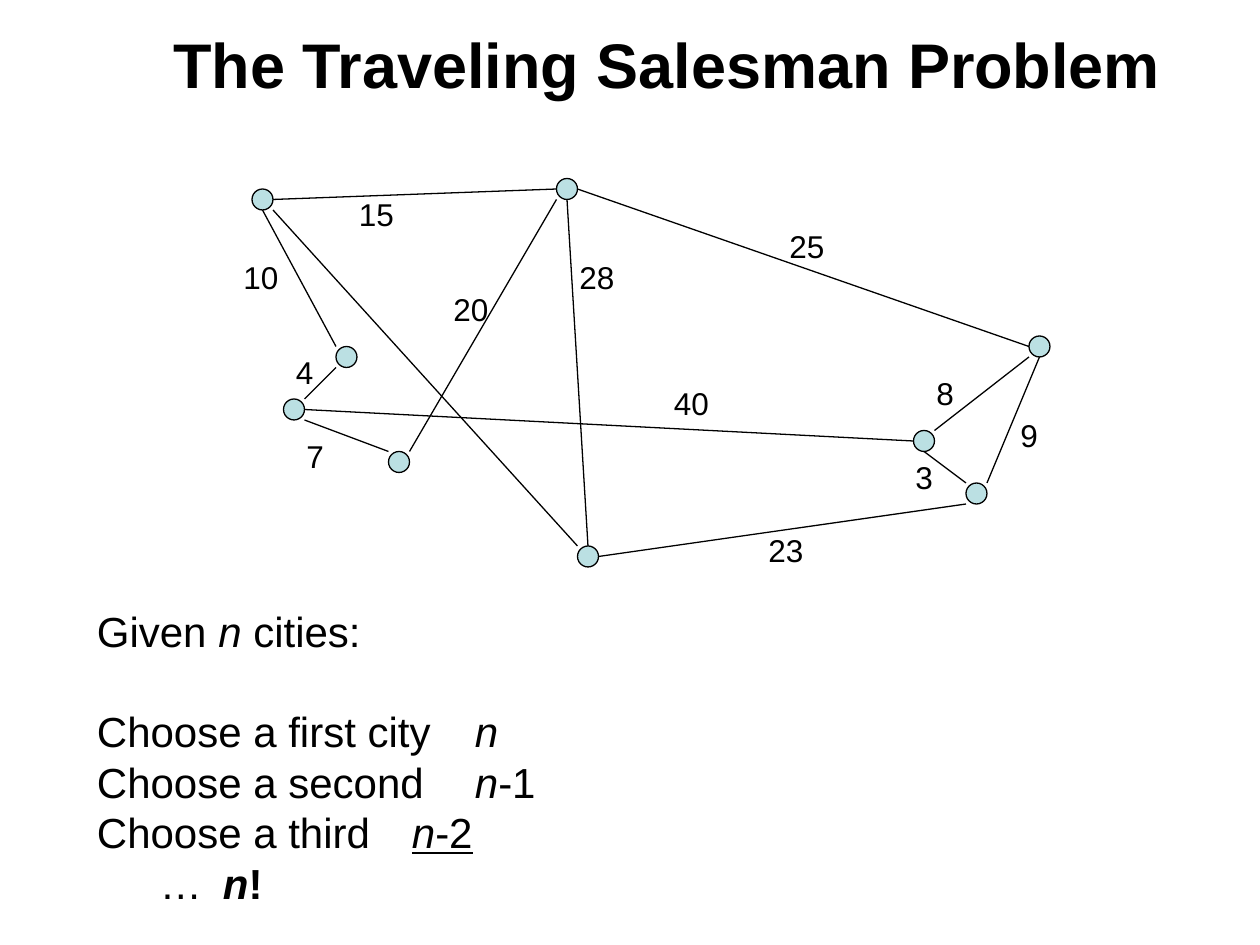
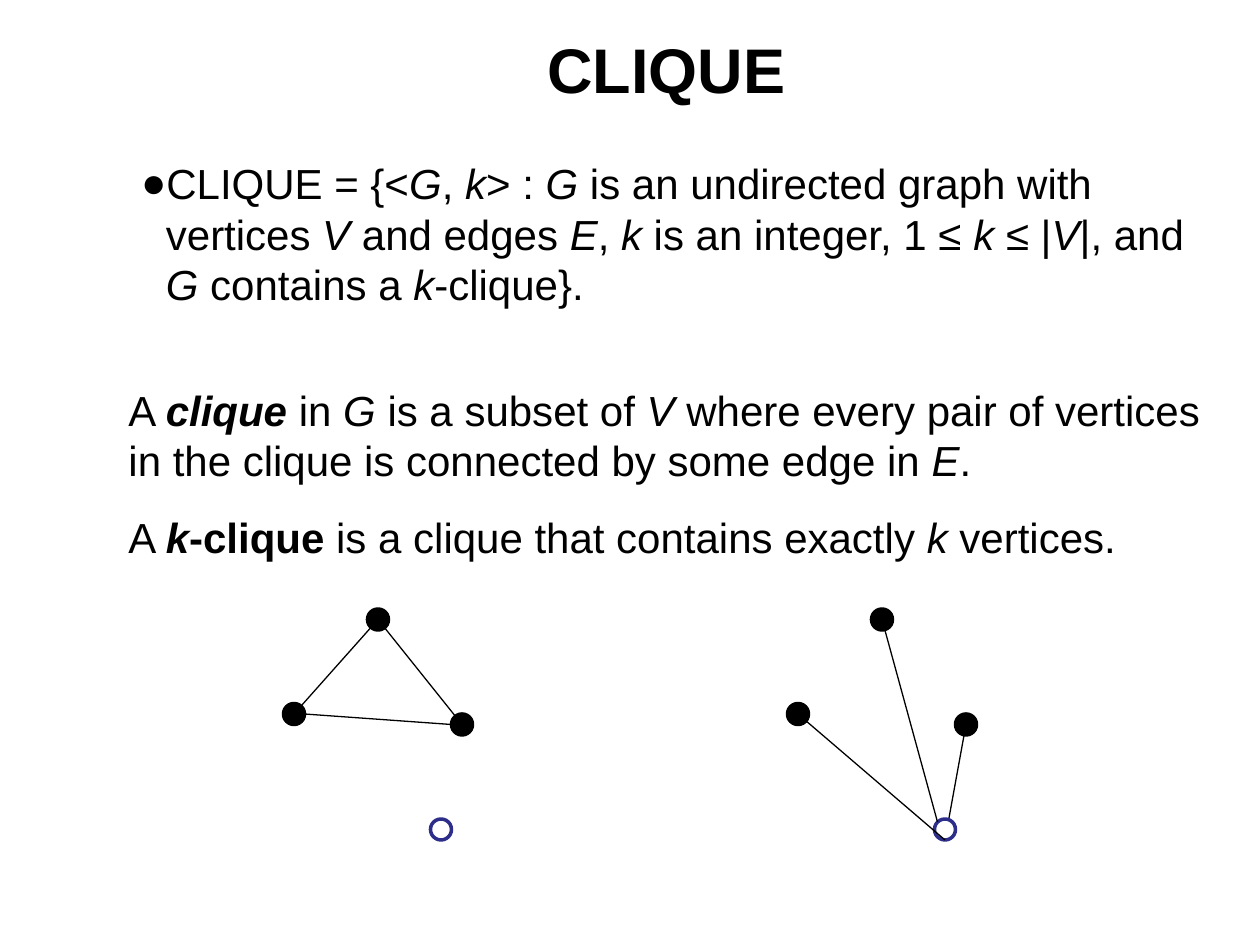
from lxml import etree
from pptx import Presentation
from pptx.dml.color import RGBColor
from pptx.enum.shapes import MSO_CONNECTOR, MSO_SHAPE
from pptx.enum.text import MSO_ANCHOR, MSO_AUTO_SIZE, PP_ALIGN
from pptx.oxml.ns import qn
from pptx.util import Cm, Pt

OVAL = MSO_SHAPE.OVAL
STRAIGHT = MSO_CONNECTOR.STRAIGHT
MIDDLE = MSO_ANCHOR.MIDDLE
TOP = MSO_ANCHOR.TOP
NO_FIT = MSO_AUTO_SIZE.NONE
CENTER = PP_ALIGN.CENTER
LEFT = PP_ALIGN.LEFT

FONT = "Arial"
BLACK, WHITE = "000000", "FFFFFF"
CITY_BLUE, RING_BLUE = "BBE0E3", "2D2D8A"
TITLE_AND_BODY = 1
UNIT = 2.54 / 12  # graphs sit on a grid of twelfths of an inch; a node's radius is one unit

# Where an edge meets a node, in radii from its centre
SIDES = {
    "C": (0, 0), "N": (0, -1), "E": (1, 0), "S": (0, 1), "W": (-1, 0),
    "NE": (1, -1), "SE": (1, 1), "SW": (-1, 1), "NW": (-1, -1), "rim NW": (-0.71, -0.71),
}

CITIES = {
    "northwest": (25, 19), "north": (54, 18), "hill": (33, 34), "west": (28, 39),
    "valley": (38, 44), "south": (56, 53), "east": (99, 33), "inner": (88, 42),
    "southeast": (93, 47),
}
ROADS = [
    ("northwest", "E", "north", "W"), ("northwest", "S", "hill", "NW"),
    ("hill", "SW", "west", "NE"), ("north", "S", "south", "N"),
    ("northwest", "SE", "south", "NW"), ("west", "SE", "valley", "NW"),
    ("valley", "NE", "north", "SW"), ("north", "E", "east", "W"),
    ("east", "SW", "inner", "NE"), ("east", "S", "southeast", "NE"),
    ("inner", "S", "southeast", "NW"), ("south", "E", "southeast", "SW"),
    ("west", "E", "inner", "W"),
]
DISTANCES = [
    ("15", 33, 18), ("20", 42, 27), ("25", 74, 21), ("8", 88, 35), ("9", 96, 39),
    ("23", 72, 50), ("40", 63, 36), ("10", 22, 24), ("4", 27, 33), ("7", 28, 41),
    ("3", 86, 43), ("28", 54, 24),
]

VERTICES = {"left": (28, 68), "top": (36, 59), "right": (44, 69), "lone": (42, 79)}
GRAPH_GAP = 48
TRIANGLE = [("top", "C", "left", "C"), ("top", "C", "right", "C"), ("right", "W", "left", "E")]
STAR_UNDER = [("right", "C", "lone", "S")]
STAR_OVER = [("top", "C", "lone", "rim NW"), ("left", "C", "lone", "S")]


def rgb(code):
    return RGBColor.from_string(code)


def place(shape, left, top, width, height):
    shape.left, shape.top = Cm(left), Cm(top)
    shape.width, shape.height = Cm(width), Cm(height)


def write(para, spans, size, bold=False, before=0, bullet=None, margin=0, indent=0,
          tabs=(), align=LEFT):
    """Fill a paragraph; a span is plain text or (text, flags), flags being b, i and u."""
    props = para._p.get_or_add_pPr()
    props.set("marL", str(Cm(margin)))
    props.set("indent", str(Cm(indent)))
    if bullet:
        etree.SubElement(props, qn("a:buChar"), char=bullet)
    else:
        etree.SubElement(props, qn("a:buNone"))
    if tabs:
        stops = etree.SubElement(props, qn("a:tabLst"))
        for stop in tabs:
            etree.SubElement(stops, qn("a:tab"), pos=str(Cm(stop)), algn="l")
    para.alignment = align
    para.space_before = Pt(before)
    font = para.font
    font.name, font.size, font.bold = FONT, Pt(size), bold
    font.color.rgb = rgb(BLACK)
    for span in spans:
        text, flags = (span, "") if isinstance(span, str) else span
        run = para.add_run()
        run.text = text
        if "b" in flags:
            run.font.bold = True
        if "i" in flags:
            run.font.italic = True
        if "u" in flags:
            run.font.underline = True


def prepare_frame(shape, anchor=TOP):
    frame = shape.text_frame
    frame.word_wrap = True
    frame.auto_size = NO_FIT
    frame.vertical_anchor = anchor
    return frame


def add_page(deck, title, title_area, body_area):
    """Add a slide with its title set; return it with the frame of its body."""
    page = deck.slides.add_slide(deck.slide_layouts[TITLE_AND_BODY])
    heading, body = page.shapes.title, page.placeholders[1]
    place(heading, *title_area)
    write(prepare_frame(heading, MIDDLE).paragraphs[0], [title], 36, bold=True, align=CENTER)
    place(body, *body_area)
    return page, prepare_frame(body)


def add_text_box(page, left, top, width, height):
    return prepare_frame(page.shapes.add_textbox(Cm(left), Cm(top), Cm(width), Cm(height)))


def add_node(page, center, fill, line, weight):
    x, y = center
    node = page.shapes.add_shape(
        OVAL, Cm((x - 1) * UNIT), Cm((y - 1) * UNIT), Cm(2 * UNIT), Cm(2 * UNIT))
    node.shadow.inherit = False
    node.fill.solid()
    node.fill.fore_color.rgb = rgb(fill)
    node.line.color.rgb = rgb(line)
    node.line.width = Pt(weight)


def add_edges(page, nodes, edges):
    for start, start_side, end, end_side in edges:
        ends = []
        for name, side in ((start, start_side), (end, end_side)):
            ends += [Cm((c + d) * UNIT) for c, d in zip(nodes[name], SIDES[side])]
        edge = page.shapes.add_connector(STRAIGHT, *ends)
        edge.line.color.rgb = rgb(BLACK)
        edge.line.width = Pt(0.75)
        etree.SubElement(edge._element.spPr, qn("a:effectLst"))


def add_vertices(page, vertices):
    for name, center in vertices.items():
        if name == "lone":
            add_node(page, center, WHITE, RING_BLUE, 2)
        else:
            add_node(page, center, BLACK, BLACK, 2)


def build_salesman(deck):
    page, body = add_page(deck, "The Traveling Salesman Problem",
                          (1.9, 0.43, 23.1, 1.7), (1.7, 12.07, 23.7, 6.35))
    for center in CITIES.values():
        add_node(page, center, CITY_BLUE, BLACK, 0.75)
    add_edges(page, CITIES, ROADS)
    for distance, x, y in DISTANCES:
        frame = add_text_box(page, x * UNIT, y * UNIT, 6 * UNIT, 1.02)
        write(frame.paragraphs[0], [distance], 18)

    column, indented = 15.24, 2.54
    write(body.paragraphs[0], ["Given ", ("n", "i"), " cities:"], 24)
    choices = [
        (["Choose a first city\t", ("n", "i")], 28.8, [column]),
        (["Choose a second\t", ("n", "i"), "-1"], 0, [column]),
        (["Choose a third\t", ("n", "iu"), ("-2", "u")], 0, [column]),
        (["\t…\t", ("n", "bi"), ("!", "b")], 0, [indented, column + 0.24]),
    ]
    for spans, before, tabs in choices:
        write(body.add_paragraph(), spans, 24, before=before, tabs=tabs)


def build_clique(deck):
    page, body = add_page(deck, "CLIQUE", (1.47, 0.2, 23.93, 2.34), (2.13, 3.05, 22.66, 4.32))
    write(body.paragraphs[0], [
        "CLIQUE = {<", ("G", "i"), ", ", ("k", "i"), "> : ", ("G", "i"),
        " is an undirected graph with vertices ", ("V", "i"), " and edges ", ("E", "i"),
        ", ", ("k", "i"), " is an integer, 1 ≤ ", ("k ", "i"), "≤ |", ("V", "i"),
        "|, and ", ("G", "i"), " contains a ", ("k", "i"), "-clique}.",
    ], 24, bullet="●", margin=0.96, indent=-0.5)

    definitions = add_text_box(page, 2.34, 7.62, 22.43, 3.84)
    write(definitions.paragraphs[0], [
        "A ", ("clique", "bi"), " in ", ("G", "i"), " is a subset of ", ("V", "i"),
        " where every pair of vertices in the clique is connected by some edge in ",
        ("E", "i"), ".",
    ], 24)
    write(definitions.add_paragraph(), [
        "A ", ("k", "bi"), ("-clique", "b"), " is a clique that contains exactly ",
        ("k", "i"), " vertices.",
    ], 24, before=15)

    add_vertices(page, VERTICES)
    add_edges(page, VERTICES, TRIANGLE)
    shifted = {name: (x + GRAPH_GAP, y) for name, (x, y) in VERTICES.items()}
    add_edges(page, shifted, STAR_UNDER)
    add_vertices(page, shifted)
    add_edges(page, shifted, STAR_OVER)


def main():
    deck = Presentation()
    deck.slide_width, deck.slide_height = Cm(25.4), Cm(19.05)
    build_salesman(deck)
    build_clique(deck)
    deck.save("out.pptx")


if __name__ == "__main__":
    main()
